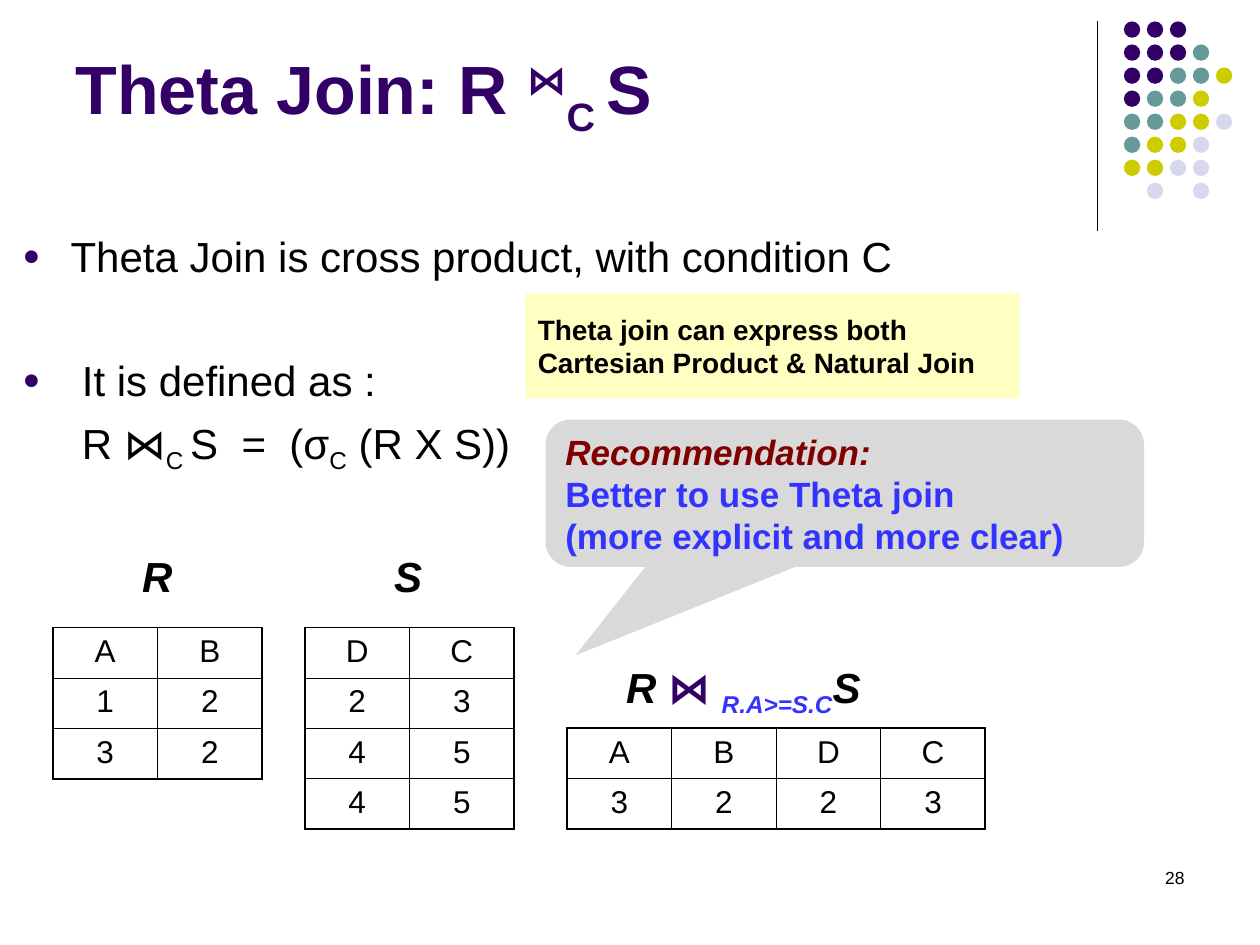
from dataclasses import dataclass
from typing import Optional

from lxml.etree import SubElement
from pptx import Presentation
from pptx.dml.color import RGBColor
from pptx.enum.shapes import MSO_CONNECTOR, MSO_SHAPE
from pptx.enum.text import MSO_ANCHOR, MSO_AUTO_SIZE, PP_ALIGN
from pptx.oxml.ns import qn
from pptx.util import Inches, Pt


@dataclass(frozen=True)
class Theme:
    font: str = "Arial"
    black: str = "000000"
    purple: str = "330066"
    teal: str = "669999"
    olive: str = "CCCC00"
    lavender: str = "D8D8EC"
    blue: str = "3333FF"
    maroon: str = "800000"
    note_fill: str = "FFFFC2"
    callout_fill: str = "D9D9D9"
    title_size: int = 39
    body_size: int = 24
    callout_size: int = 20
    cell_size: int = 18
    note_size: int = 16
    number_size: int = 10
    outer_border: float = 1.08
    inner_border: float = 0.45


@dataclass(frozen=True)
class Piece:
    """A stretch of text; unset fields follow the surrounding text."""
    text: str
    color: Optional[str] = None
    italic: Optional[bool] = None
    baseline: int = 0


@dataclass(frozen=True)
class Line:
    pieces: tuple
    bullet: bool = False
    left: float = 0
    hanging: float = 0
    before: float = 0


@dataclass(frozen=True)
class Relation:
    left: float
    top: float
    rows: tuple


THEME = Theme()
COLUMN_WIDTH, ROW_HEIGHT = 0.83, 0.4
SUBSCRIPT, SUPERSCRIPT = -25, 30

DOT_COLORS = {"p": THEME.purple, "t": THEME.teal, "o": THEME.olive, "l": THEME.lavender}
DOT_ROWS = ("ppp..", "pppt.", "pptto", "ptto.", "ttool", "tool.", "ooll.", ".l.l.")

TITLE = Line((Piece("Theta Join: R "), Piece("⋈", baseline=SUPERSCRIPT),
              Piece("C ", baseline=SUBSCRIPT), Piece("S")))
BODY = (
    Line((Piece("Theta Join is cross product, with condition C"),),
         bullet=True, left=0.38, hanging=0.38),
    Line((Piece("It is defined as :"),), bullet=True, left=0.47, hanging=0.47, before=42),
    Line((Piece("R ⋈"), Piece("C ", baseline=SUBSCRIPT), Piece("S  =  (σ"),
          Piece("C", baseline=SUBSCRIPT), Piece(" (R X S))")), left=0.47, before=7),
)
RELATIONS = (
    Relation(0.42, 4.98, ("AB", "12", "32")),
    Relation(2.42, 4.98, ("DC", "23", "45", "45")),
    Relation(4.5, 5.78, ("ABDC", "3223")),
)
RELATION_NAMES = (
    ((1.03, 4.32, 0.44, 0.5), Line((Piece("R"),))),
    ((3.03, 4.32, 0.42, 0.5), Line((Piece("S"),))),
    ((4.87, 5.2, 2.02, 0.56),
     Line((Piece("R "), Piece("⋈ ", color=THEME.purple, italic=False),
           Piece("R.A>=S.C", color=THEME.blue, baseline=SUBSCRIPT), Piece("S")))),
)
CALLOUT = (
    Line((Piece("Recommendation:", color=THEME.maroon, italic=True),)),
    Line((Piece("Better to use Theta join"),)),
    Line((Piece("(more explicit and more clear)"),)),
)


def place(shape, left: float, top: float, width: float, height: float) -> None:
    shape.left, shape.top = Inches(left), Inches(top)
    shape.width, shape.height = Inches(width), Inches(height)


def set_bullet(paragraph, line: Line) -> None:
    properties = paragraph._p.get_or_add_pPr()
    properties.set("marL", str(Inches(line.left)))
    properties.set("indent", str(-Inches(line.hanging)))
    if not line.bullet:
        SubElement(properties, qn("a:buNone"))
        return
    color = SubElement(properties, qn("a:buClr"))
    SubElement(color, qn("a:srgbClr"), val=THEME.purple)
    SubElement(properties, qn("a:buSzPct"), val="70000")
    SubElement(properties, qn("a:buFont"), typeface=THEME.font)
    SubElement(properties, qn("a:buChar"), char="●")


def write_text(frame, lines, *, size: int, color: str = THEME.black, bold: bool = False,
               italic: bool = False, align=PP_ALIGN.LEFT, anchor=MSO_ANCHOR.TOP,
               wrap: bool = True) -> None:
    frame.word_wrap = wrap
    frame.auto_size = MSO_AUTO_SIZE.NONE
    frame.vertical_anchor = anchor
    for index, line in enumerate(lines):
        paragraph = frame.add_paragraph() if index else frame.paragraphs[0]
        set_bullet(paragraph, line)
        paragraph.alignment = align
        paragraph.space_before = Pt(line.before)
        for piece in line.pieces:
            run = paragraph.add_run()
            run.text = piece.text
            font = run.font
            font.name, font.size, font.bold = THEME.font, Pt(size), bold
            font.italic = italic if piece.italic is None else piece.italic
            font.color.rgb = RGBColor.from_string(piece.color or color)
            if piece.baseline:
                run._r.get_or_add_rPr().set("baseline", str(piece.baseline * 1000))


def add_filled_shape(shapes, kind, box: tuple, fill: str):
    shape = shapes.add_shape(kind, *map(Inches, box))
    shape.shadow.inherit = False
    shape.fill.solid()
    shape.fill.fore_color.rgb = RGBColor.from_string(fill)
    shape.line.fill.background()
    return shape


def add_ornament(slide) -> None:
    rule = slide.shapes.add_connector(MSO_CONNECTOR.STRAIGHT, Inches(8.71), Inches(0.17),
                                      Inches(8.71), Inches(1.83))
    rule.line.color.rgb = RGBColor.from_string(THEME.black)
    rule.line.width = Pt(0.75)
    SubElement(rule._element.spPr, qn("a:effectLst"))
    dots = slide.shapes.add_group_shape().shapes
    for row, pattern in enumerate(DOT_ROWS):
        for column, key in enumerate(pattern):
            if key in DOT_COLORS:
                box = (8.92 + 0.73 * column / 4, 0.17 + 1.28 * row / 7, 0.13, 0.13)
                add_filled_shape(dots, MSO_SHAPE.OVAL, box, DOT_COLORS[key])


def set_borders(cell, outer_sides: dict) -> None:
    properties = cell._tc.get_or_add_tcPr()
    for side, is_outer in outer_sides.items():
        width = Pt(THEME.outer_border if is_outer else THEME.inner_border)
        border = SubElement(properties, qn(f"a:ln{side}"), w=str(width))
        fill = SubElement(border, qn("a:solidFill"))
        SubElement(fill, qn("a:srgbClr"), val=THEME.black)


def add_relation(slide, relation: Relation) -> None:
    row_count, column_count = len(relation.rows), len(relation.rows[0])
    table = slide.shapes.add_table(
        row_count, column_count, Inches(relation.left), Inches(relation.top),
        Inches(COLUMN_WIDTH * column_count), Inches(ROW_HEIGHT * row_count)).table
    table.first_row = table.horz_banding = False
    for row, values in enumerate(relation.rows):
        for column, value in enumerate(values):
            cell = table.cell(row, column)
            write_text(cell.text_frame, [Line((Piece(value),))], size=THEME.cell_size,
                       align=PP_ALIGN.CENTER)
            set_borders(cell, {"L": column == 0, "R": column == column_count - 1,
                               "T": row == 0, "B": row == row_count - 1})
            cell.fill.background()


def main() -> None:
    presentation = Presentation()
    presentation.slide_width, presentation.slide_height = Inches(10), Inches(7.5)
    slide = presentation.slides.add_slide(presentation.slide_layouts[1])
    shapes = slide.shapes
    add_ornament(slide)

    # Title and list
    title, body = slide.placeholders
    place(title, 0.5, 0.13, 8.25, 1.03)
    write_text(title.text_frame, [TITLE], size=THEME.title_size, color=THEME.purple,
               bold=True, anchor=MSO_ANCHOR.BOTTOM)
    place(body, 0.08, 1.75, 8.17, 2.25)
    body.text_frame.margin_top = Inches(0.08)
    write_text(body.text_frame, BODY, size=THEME.body_size)

    # Relations and their names
    for relation in RELATIONS:
        add_relation(slide, relation)
    for box, name in RELATION_NAMES:
        label = shapes.add_textbox(*map(Inches, box))
        write_text(label.text_frame, [name], size=THEME.body_size, bold=True, italic=True,
                   wrap=False)

    # Note and recommendation
    note = add_filled_shape(shapes, MSO_SHAPE.RECTANGLE, (4.17, 2.33, 3.92, 0.83),
                            THEME.note_fill)
    note_text = "Theta join can express both Cartesian Product & Natural Join"
    write_text(note.text_frame, [Line((Piece(note_text),))], size=THEME.note_size,
               bold=True, anchor=MSO_ANCHOR.MIDDLE)
    callout = add_filled_shape(shapes, MSO_SHAPE.ROUNDED_RECTANGULAR_CALLOUT,
                               (4.33, 3.33, 4.75, 1.17), THEME.callout_fill)
    for index, value in enumerate((-0.45, 1.1, 0.17)):
        callout.adjustments[index] = value
    write_text(callout.text_frame, CALLOUT, size=THEME.callout_size, color=THEME.blue,
               bold=True, anchor=MSO_ANCHOR.MIDDLE)

    # Slide number
    number = shapes.add_textbox(*map(Inches, (7.17, 6.83, 2.33, 0.5)))
    write_text(number.text_frame, [Line((Piece("28"),))], size=THEME.number_size,
               align=PP_ALIGN.RIGHT)

    presentation.save("out.pptx")


if __name__ == "__main__":
    main()
